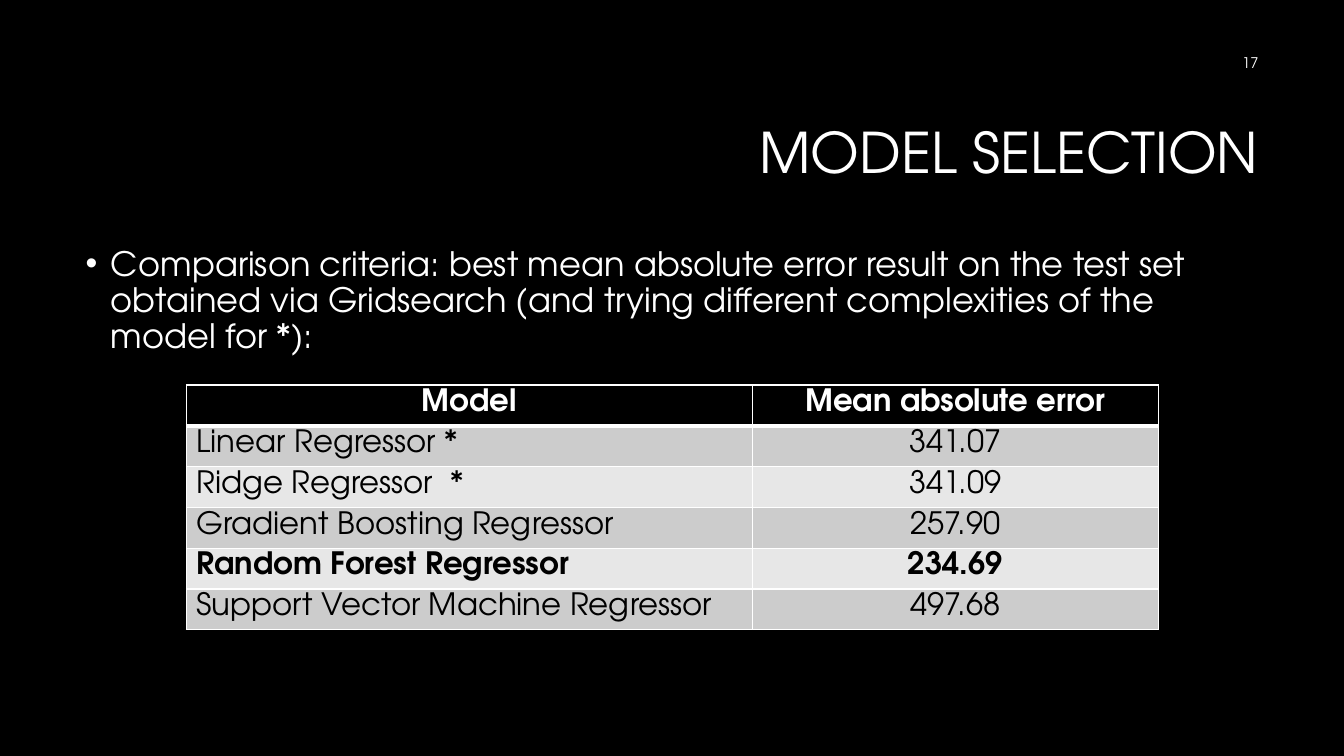
from dataclasses import dataclass

from lxml import etree
from pptx import Presentation
from pptx import util as u
from pptx.dml.color import RGBColor
from pptx.enum import text
from pptx.oxml import ns

# Content
TITLE = "MODEL SELECTION"
CRITERIA = ("Comparison criteria: best mean absolute error result on the test set "
            "obtained via Gridsearch (and trying different complexities of the "
            "model for *):")
PAGE_NUMBER = "17"
HEADER = ("Model", "Mean absolute error")
RESULTS = [
    ("Linear Regressor *", "341.07"),
    ("Ridge Regressor  *", "341.09"),
    ("Gradient Boosting Regressor", "257.90"),
    ("Random Forest Regressor", "234.69"),
    ("Support Vector Machine Regressor", "497.68"),
]
BEST_ROW = 4


@dataclass(frozen=True)
class Theme:
    font: str = "TeX Gyre Adventor"
    background: str = "000000"
    light: str = "FFFFFF"
    dark: str = "000000"
    bands: tuple = ("E7E7E7", "CCCCCC")
    title: float = 40
    body: float = 24
    table: float = 22
    number: float = 10.5
    line: float = 1
    header_line: float = 3


THEME = Theme()

# Layout in inches
SLIDE_WIDTH, SLIDE_HEIGHT = 13.33, 7.5
RIGHT_EDGE = 12.58
TITLE_BOX = (RIGHT_EDGE - 9.42, 0.84, 9.42, 1.41)
BODY_BOX = (RIGHT_EDGE - 11.83, 2.4, 11.83, 4.4)
NUMBER_BOX = (RIGHT_EDGE - 3, 0.42, 3, 0.4)
BULLET_INDENT = 0.25
COLUMNS = (5.61, 4.03)
TABLE_LEFT, TABLE_TOP, TABLE_HEIGHT = 1.85, 3.82, 2.43
CELL_TOP_MARGIN = 0.04


def inches(box):
    return [u.Inches(value) for value in box]


def style(paragraph, size, color, align, bold=False):
    paragraph.alignment = align
    font = paragraph.font
    font.name, font.size, font.bold = THEME.font, u.Pt(size), bold
    font.color.rgb = RGBColor.from_string(color)


def add_bullet(paragraph, indent):
    properties = paragraph._p.get_or_add_pPr()
    properties.set("marL", str(u.Inches(indent)))
    properties.set("indent", str(-u.Inches(indent)))
    etree.SubElement(properties, ns.qn("a:buFont"), typeface="Arial")
    etree.SubElement(properties, ns.qn("a:buChar"), char="•")


def fill_box(shape, box, content, size, align, anchor, spacing=1.0, bullet_indent=None):
    shape.left, shape.top, shape.width, shape.height = inches(box)
    frame = shape.text_frame
    frame.word_wrap = True
    frame.auto_size = text.MSO_AUTO_SIZE.NONE
    frame.vertical_anchor = anchor
    frame.text = content
    paragraph = frame.paragraphs[0]
    paragraph.line_spacing = spacing
    paragraph.space_before = u.Pt(0)
    if bullet_indent:
        add_bullet(paragraph, bullet_indent)
    style(paragraph, size, THEME.light, align)


def add_borders(cell, widths):
    properties = cell._tc.get_or_add_tcPr()
    for position, (side, width) in enumerate(widths.items()):
        line = etree.Element(ns.qn(f"a:ln{side}"), w=str(u.Pt(width)))
        solid = etree.SubElement(line, ns.qn("a:solidFill"))
        etree.SubElement(solid, ns.qn("a:srgbClr"), val=THEME.light)
        properties.insert(position, line)


def add_results(slide):
    rows = [HEADER, *RESULTS]
    frame = slide.shapes.add_table(
        len(rows), len(COLUMNS),
        *inches((TABLE_LEFT, TABLE_TOP, sum(COLUMNS), TABLE_HEIGHT)))
    table = frame.table
    for column, width in zip(table.columns, COLUMNS):
        column.width = u.Inches(width)
    for r, values in enumerate(rows):
        table.rows[r].height = u.Inches(TABLE_HEIGHT / len(rows))
        header = r == 0
        for c, value in enumerate(values):
            cell = table.cell(r, c)
            cell.text = value
            cell.margin_top, cell.margin_bottom = u.Inches(CELL_TOP_MARGIN), 0
            cell.fill.solid()
            cell.fill.fore_color.rgb = RGBColor.from_string(
                THEME.background if header else THEME.bands[r % 2])
            left = c == 0 and not header
            style(cell.text_frame.paragraphs[0], THEME.table,
                  THEME.light if header else THEME.dark,
                  text.PP_ALIGN.LEFT if left else text.PP_ALIGN.CENTER,
                  bold=r in (0, BEST_ROW))
            add_borders(cell, {
                "L": THEME.line, "R": THEME.line,
                "T": THEME.header_line if r == 1 else THEME.line,
                "B": THEME.header_line if header else THEME.line})


def main():
    presentation = Presentation()
    presentation.slide_width, presentation.slide_height = inches((SLIDE_WIDTH, SLIDE_HEIGHT))
    slide = presentation.slides.add_slide(presentation.slide_layouts[1])
    slide.background.fill.solid()
    slide.background.fill.fore_color.rgb = RGBColor.from_string(THEME.background)

    # Title, criteria and page number
    align, anchor = text.PP_ALIGN, text.MSO_ANCHOR
    fill_box(slide.shapes.title, TITLE_BOX, TITLE, THEME.title,
             align.RIGHT, anchor.MIDDLE, 0.9)
    fill_box(slide.placeholders[1], BODY_BOX, CRITERIA, THEME.body,
             align.LEFT, anchor.TOP, 0.9, BULLET_INDENT)
    number = slide.shapes.add_textbox(*inches(NUMBER_BOX))
    fill_box(number, NUMBER_BOX, PAGE_NUMBER, THEME.number,
             align.RIGHT, anchor.MIDDLE)

    # Model comparison
    add_results(slide)
    presentation.save("out.pptx")


if __name__ == "__main__":
    main()
